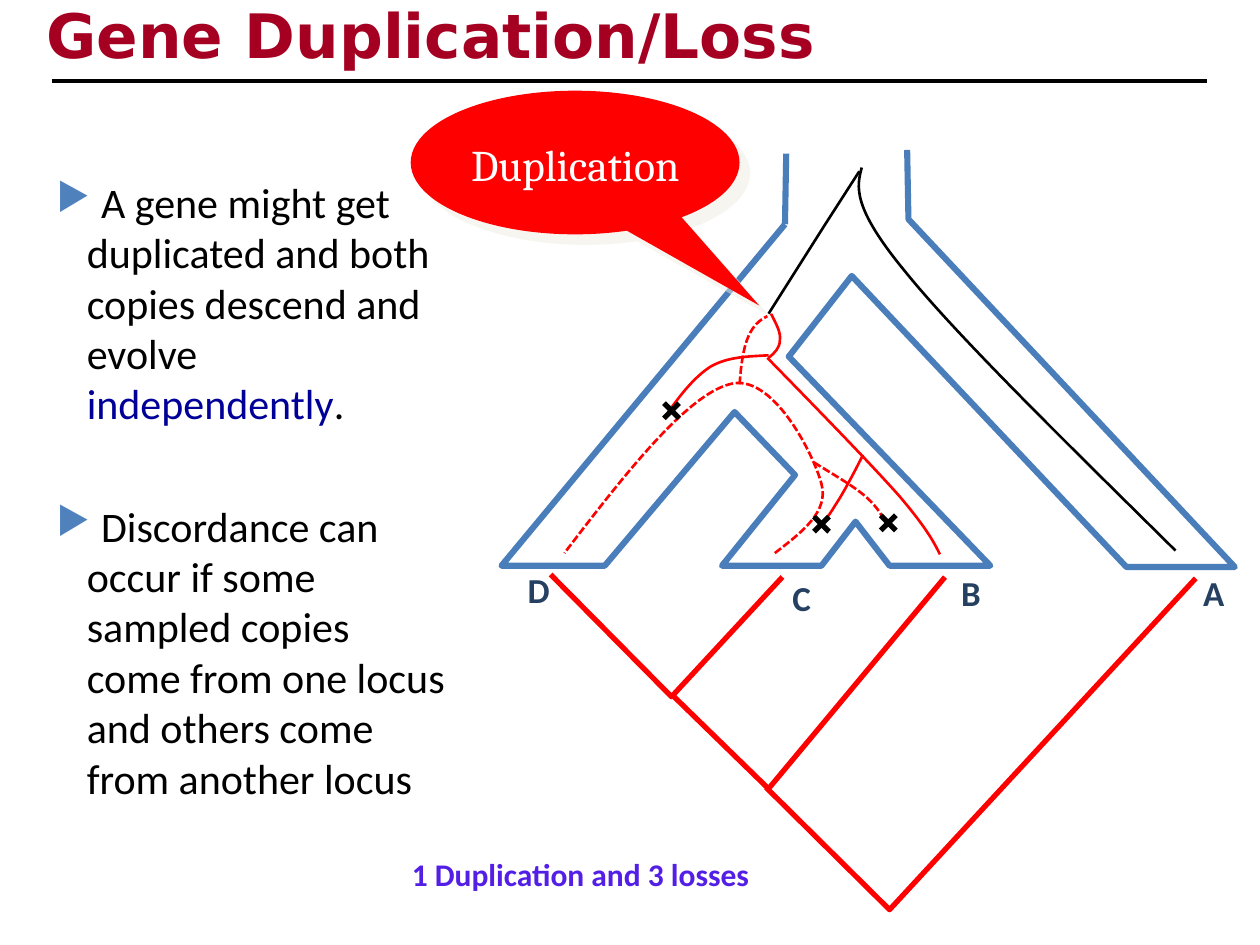
from lxml.etree import SubElement
from pptx import Presentation
from pptx.dml.color import RGBColor
from pptx.enum.dml import MSO_LINE
from pptx.enum.shapes import MSO_CONNECTOR, MSO_SHAPE
from pptx.enum.text import MSO_ANCHOR, PP_ALIGN
from pptx.oxml.ns import qn
from pptx.util import Inches, Pt

COLORS = {
    "title": "A50021", "black": "000000", "white": "FFFFFF", "red": "FF0000",
    "species": "4A7EBB", "bullet": "4F81BD", "label": "254061",
    "emphasis": "000099", "summary": "531FE7", "shadow": "EEECE1",
}

# Bullets as lists of (text, colour) runs
BULLETS = [
    [(" A gene might get duplicated and both copies descend and evolve ", "black"),
     ("independently", "emphasis"), (".", "black")],
    [(" Discordance can occur if some sampled copies come from one locus "
      "and others come from another locus", "black")],
]
TAXA = [("D", 4.09, 4.46), ("C", 6.19, 4.53), ("B", 7.53, 4.49), ("A", 9.45, 4.49)]

# Straight outlines: colour, width, points
SPECIES_TREE = [
    ("species", 3.5, [
        (6.23, 1.78), (3.98, 4.49), (4.8, 4.49), (5.83, 3.27), (6.31, 3.77),
        (5.73, 4.49), (6.52, 4.49), (6.79, 4.14), (7.06, 4.49), (7.86, 4.49),
        (6.26, 2.83), (6.76, 2.19), (8.94, 4.5), (9.8, 4.5), (7.21, 1.74), (7.2, 1.19)]),
    ("species", 3.5, [(6.23, 1.78), (6.24, 1.22)]),
]
SAMPLED_TREE = [
    ("red", 3, [(4.37, 4.56), (5.33, 5.53), (6.21, 4.58)]),
    ("red", 3, [(5.33, 5.51), (6.1, 6.26), (7.5, 4.58)]),
    ("red", 3, [(6.08, 6.25), (7.06, 7.22), (9.49, 4.59)]),
]
GENE_STEM = [("black", 1.5, [(6.1, 2.49), (6.55, 1.78), (6.82, 1.36)])]

# Gene lineages: colour, dashed, start point followed by Bezier triples
GENE_CURVES = [
    ("red", True, [(6.15, 4.39), (6.37, 4.22), (6.58, 4.06), (6.52, 3.84),
                   (6.46, 3.61), (6.13, 2.95), (5.79, 3.05),
                   (5.45, 3.14), (4.96, 3.76), (4.48, 4.39)]),
    ("red", True, [(6.46, 3.67), (6.62, 3.77), (6.78, 3.86), (6.88, 3.95),
                   (6.97, 4.03), (7.01, 4.11), (7.05, 4.18)]),
    ("red", False, [(6.1, 2.82), (5.94, 2.83), (5.78, 2.83), (5.64, 2.91),
                    (5.5, 3), (5.38, 3.16), (5.27, 3.32)]),
    ("black", False, [(9.33, 4.37), (8.46, 3.51), (7.59, 2.66), (7.18, 2.15),
                      (6.76, 1.64), (6.8, 1.48), (6.84, 1.33)]),
    ("red", True, [(5.87, 3.05), (5.88, 2.9), (5.9, 2.76), (5.94, 2.67),
                   (5.98, 2.58), (6.03, 2.54), (6.09, 2.51)]),
    ("red", False, [(6.09, 2.84), (6.5, 3.26), (6.91, 3.68), (7.14, 3.94),
                    (7.36, 4.2), (7.41, 4.3), (7.46, 4.4)]),
    ("red", False, [(6.1, 2.84), (6.15, 2.8), (6.19, 2.76), (6.19, 2.7),
                    (6.2, 2.64), (6.16, 2.57), (6.12, 2.49)]),
    ("red", False, [(6.85, 3.61), (6.77, 3.77), (6.69, 3.92), (6.63, 4.01),
                    (6.57, 4.11), (6.54, 4.14), (6.51, 4.17)]),
]
LOSSES = [(7.05, 4.15), (5.33, 3.26), (6.52, 4.16)]
LOSS_RADIUS = 0.06


def color(name):
    return RGBColor.from_string(COLORS[name])


def add_text(slide, text, left, top, width, height, size, tint="black", font="Calibri",
             bold=False, align=PP_ALIGN.LEFT, anchor=MSO_ANCHOR.TOP, wrap=False,
             line_spacing=None, space_before=0, bullet=None, indent=0.24):
    """text is a string, or a list of paragraphs made of (text, colour) runs."""
    box = slide.shapes.add_textbox(Inches(left), Inches(top), Inches(width), Inches(height))
    frame = box.text_frame
    frame.word_wrap = wrap
    frame.vertical_anchor = anchor
    paragraphs = [[(text, tint)]] if isinstance(text, str) else text
    for index, runs in enumerate(paragraphs):
        paragraph = frame.add_paragraph() if index else frame.paragraphs[0]
        if bullet:
            properties = paragraph._p.get_or_add_pPr()
            properties.set("marL", str(Inches(indent)))
            properties.set("indent", str(-Inches(indent)))
            bullet_color = SubElement(properties, qn("a:buClr"))
            SubElement(bullet_color, qn("a:srgbClr"), val=COLORS["bullet"])
            SubElement(properties, qn("a:buSzPct"), val="90000")
            SubElement(properties, qn("a:buChar"), char=bullet)
        paragraph.alignment = align
        if line_spacing:
            paragraph.line_spacing = line_spacing
        if index:
            paragraph.space_before = Pt(space_before)
        for run_text, run_color in runs:
            run = paragraph.add_run()
            run.text = run_text
            run.font.size, run.font.name, run.font.bold = Pt(size), font, bold
            run.font.color.rgb = color(run_color)


def add_outline(slide, points, tint, width, curved=False, dashed=False):
    emu = [(Inches(x), Inches(y)) for x, y in points]
    builder = slide.shapes.build_freeform(*emu[0])
    builder.add_line_segments(emu[1:], close=False)
    shape = builder.convert_to_shape()
    shape.shadow.inherit = False
    shape.fill.background()
    shape.line.color.rgb = color(tint)
    shape.line.width = Pt(width)
    if dashed:
        shape.line.dash_style = MSO_LINE.SQUARE_DOT
    if curved:
        # Merge every three segments into one Bezier curve
        segments = list(shape._element.iter(qn("a:lnTo")))
        for start in range(0, len(segments), 3):
            first, *others = segments[start:start + 3]
            first.tag = qn("a:cubicBezTo")
            for segment in others:
                first.append(segment[0])
                segment.getparent().remove(segment)


def add_line(slide, start, end, width):
    line = slide.shapes.add_connector(
        MSO_CONNECTOR.STRAIGHT, *(Inches(value) for value in (*start, *end)))
    line.line.color.rgb = color("black")
    line.line.width = Pt(width)
    SubElement(line._element.spPr, qn("a:effectLst"))


def add_callout(slide):
    shape = slide.shapes.add_shape(MSO_SHAPE.OVAL_CALLOUT, Inches(3.26), Inches(0.72),
                                   Inches(2.61), Inches(1.14))
    shape.adjustments[0], shape.adjustments[1] = 0.56, 0.996
    shape.fill.solid()
    shape.fill.fore_color.rgb = color("red")
    shape.line.fill.background()
    shape.shadow.inherit = False
    effects = shape._element.spPr.find(qn("a:effectLst"))
    shadow = SubElement(effects, qn("a:outerShdw"), dist=str(Pt(8.5)), dir="2700000",
                        algn="ctr", rotWithShape="0")
    shadow_color = SubElement(shadow, qn("a:srgbClr"), val=COLORS["shadow"])
    SubElement(shadow_color, qn("a:alpha"), val="50000")


def main():
    presentation = Presentation()
    presentation.slide_width, presentation.slide_height = Inches(10), Inches(7.5)
    slide = presentation.slides.add_slide(presentation.slide_layouts[6])

    # Species tree, sampled gene tree and taxon labels
    for tint, width, points in SPECIES_TREE + SAMPLED_TREE:
        add_outline(slide, points, tint, width)
    for name, left, top in TAXA:
        add_text(slide, name, left, top, 0.34, 0.44, 20, tint="label", bold=True)

    # Gene lineages inside the species tree
    for tint, dashed, points in GENE_CURVES:
        add_outline(slide, points, tint, 1.5, curved=True, dashed=dashed)
    for tint, width, points in GENE_STEM:
        add_outline(slide, points, tint, width)

    # Loss marks
    for x, y in LOSSES:
        for rise in (LOSS_RADIUS, -LOSS_RADIUS):
            add_line(slide, (x - LOSS_RADIUS, y - rise), (x + LOSS_RADIUS, y + rise), 3)

    # Duplication callout
    add_callout(slide)
    add_text(slide, "Duplication", 3.37, 1.04, 2.39, 0.51, 25, tint="white",
             font="Cambria", align=PP_ALIGN.CENTER, wrap=True)

    # Title, rule, bullets and summary
    add_text(slide, "Gene Duplication/Loss", 0.27, -0.03, 8.5, 0.67, 35, tint="title",
             font="DejaVu Sans", bold=True, anchor=MSO_ANCHOR.MIDDLE, wrap=True,
             line_spacing=0.9)
    add_line(slide, (0.41, 0.64), (9.58, 0.64), 2.25)
    add_text(slide, BULLETS, 0.35, 1.35, 3.31, 5.15, 24, wrap=True,
             space_before=41, bullet="▶")
    add_text(slide, "1 Duplication and 3 losses", 3.17, 6.74, 2.97, 0.4, 18,
             tint="summary", bold=True)

    presentation.save("out.pptx")


if __name__ == "__main__":
    main()
